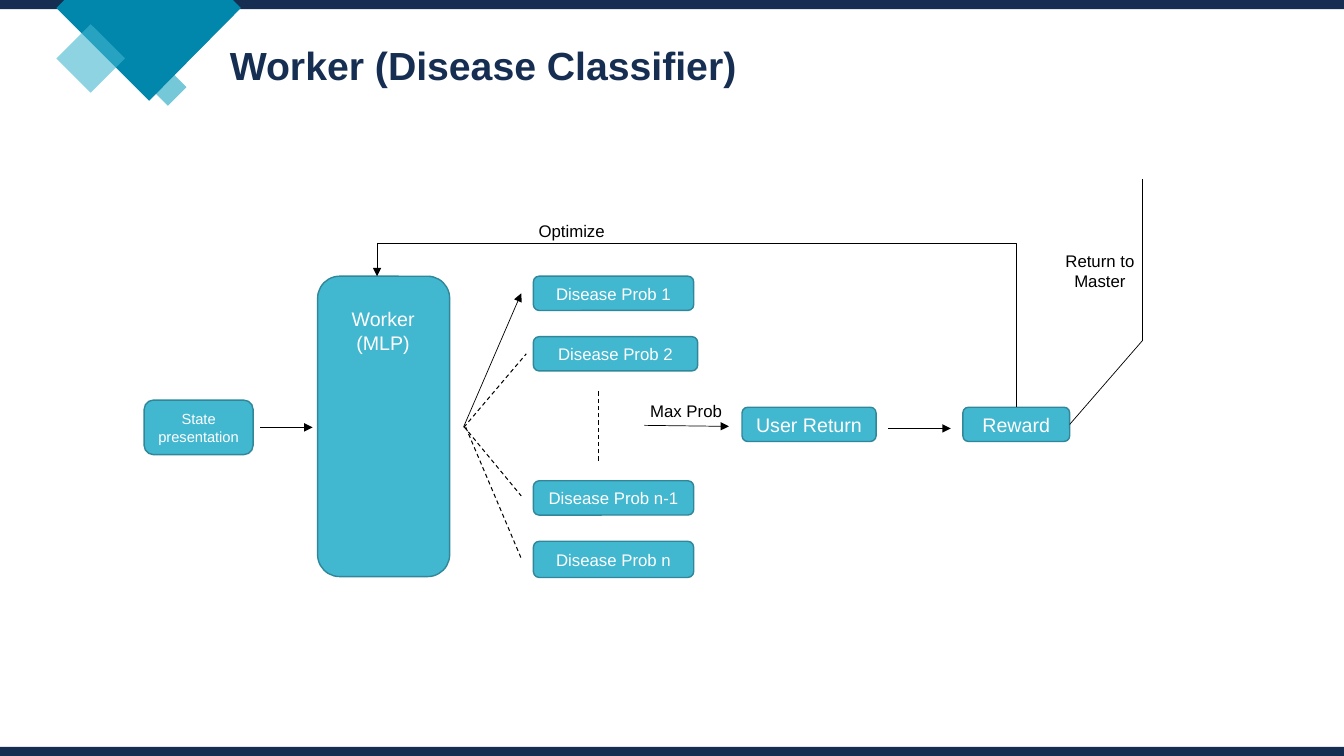
from typing import NamedTuple

from lxml import etree
from pptx import Presentation
from pptx import util as u
from pptx.dml.color import RGBColor
from pptx.enum import dml, shapes, text
from pptx.oxml.ns import qn

PX = 9144  # EMU per px, 100 px to the inch
WIDTH, HEIGHT, BAR = 1333, 750, 9
COLOURS = {
    "navy": "152E52", "blue": "0187AC", "teal": "1AA4BE", "aqua": "41B7D0",
    "edge": "30879A", "black": "000000", "white": "FFFFFF",
}
KIND = shapes.MSO_SHAPE


class Box(NamedTuple):
    left: int
    top: int
    width: int
    height: int


class Node(NamedTuple):
    words: str
    box: Box
    size: float


class Label(NamedTuple):
    words: str
    box: Box
    size: float = 12
    colour: str = "black"


class Link(NamedTuple):
    start: tuple[int, int]
    end: tuple[int, int]
    arrow: bool = False
    dashed: bool = False


NODES = [
    Node("State presentation", Box(143, 397, 108, 54), 10.5),
    Node("", Box(315, 274, 131, 298), 14),
    Node("Disease Prob 1", Box(529, 274, 159, 34), 12),
    Node("Disease Prob 2", Box(529, 334, 163, 34), 12),
    Node("Disease Prob n-1", Box(529, 477, 159, 34), 12),
    Node("Disease Prob n", Box(529, 537, 159, 36), 12),
    Node("User Return", Box(736, 404, 133, 34), 14),
]
REWARD = Node("Reward", Box(955, 404, 106, 34), 14)
LABELS = [
    Label("Worker\n(MLP)", Box(335, 300, 90, 57), 14, "white"),
    Label("Optimize", Box(522, 214, 90, 30)),
    Label("Return to\nMaster", Box(1033, 244, 116, 50)),
    Label("Max Prob", Box(623, 393, 115, 30)),
]
OPTIMIZE_CORNER = (374, 241)
MASTER_CORNER = (1133, 338)
LINKS = [
    Link((258, 424), (310, 424), arrow=True),
    Link((460, 423), (517, 291), arrow=True),
    Link((460, 424), (522, 351), dashed=True),
    Link((594, 457), (594, 388), dashed=True),
    Link((460, 423), (517, 492), dashed=True),
    Link((462, 424), (517, 554), dashed=True),
    Link((639, 422), (723, 423), arrow=True),
    Link(OPTIMIZE_CORNER, (374, 274), arrow=True),
    Link((881, 425), (943, 425), arrow=True),
    Link(MASTER_CORNER, (1133, 178)),
]


def rgb(name: str) -> RGBColor:
    return RGBColor.from_string(COLOURS[name])


def emu(lengths) -> list[int]:
    return [length * PX for length in lengths]


def paint(shape, fill: str, opacity: int = 100) -> None:
    shape.shadow.inherit = False
    shape.fill.solid()
    shape.fill.fore_color.rgb = rgb(fill)
    shape.line.fill.background()
    if opacity < 100:
        colour = shape.fill._xPr.find(".//" + qn("a:srgbClr"))
        etree.SubElement(colour, qn("a:alpha"), val=str(opacity * 1000))


def write(frame, words: str, size: float, colour: str) -> None:
    frame.text = words
    frame.word_wrap = True
    for paragraph in frame.paragraphs:
        paragraph.alignment = text.PP_ALIGN.CENTER
        for run in paragraph.runs:
            run.font.name = "Arial"
            run.font.size = u.Pt(size)
            run.font.color.rgb = rgb(colour)


def draw_shape(slide, kind, box: Box, fill: str, opacity: int = 100):
    shape = slide.shapes.add_shape(kind, *emu(box))
    paint(shape, fill, opacity)
    return shape


def draw_node(slide, node: Node):
    shape = draw_shape(slide, KIND.ROUNDED_RECTANGLE, node.box, "aqua")
    shape.line.color.rgb = rgb("edge")
    shape.line.width = u.Pt(1)
    if node.words:
        frame = shape.text_frame
        frame.margin_left = frame.margin_right = 6 * PX
        frame.vertical_anchor = text.MSO_ANCHOR.MIDDLE
        write(frame, node.words, node.size, "white")
    return shape


def draw_label(slide, label: Label) -> None:
    frame = slide.shapes.add_textbox(*emu(label.box)).text_frame
    write(frame, label.words, label.size, label.colour)


def draw_link(slide, link: Link, kind=shapes.MSO_CONNECTOR.STRAIGHT):
    connector = slide.shapes.add_connector(kind, *emu(link.start + link.end))
    connector.line.color.rgb = rgb("black")
    connector.line.width = u.Pt(0.75 if link.dashed else 0.5)
    if link.dashed:
        connector.line.dash_style = dml.MSO_LINE.DASH
    properties = connector._element.spPr
    if link.arrow:
        etree.SubElement(properties.find(qn("a:ln")), qn("a:tailEnd"), type="triangle")
    etree.SubElement(properties, qn("a:effectLst"))
    return connector


def draw_decoration(slide) -> None:
    draw_shape(slide, KIND.DIAMOND, Box(148, 68, 37, 37), "teal", 60)
    draw_shape(slide, KIND.RECTANGLE, Box(0, 0, WIDTH, BAR), "navy")
    builder = slide.shapes.build_freeform(64, 0, scale=PX)
    builder.add_line_segments([(231, 0), (239, 8), (148, 100), (56, 8)])
    paint(builder.convert_to_shape(), "blue")
    draw_shape(slide, KIND.DIAMOND, Box(56, 24, 68, 68), "aqua", 60)
    draw_shape(slide, KIND.RECTANGLE, Box(0, HEIGHT - BAR, WIDTH, BAR), "navy")


def draw_title(slide) -> None:
    title = slide.shapes.title
    title.left, title.top, title.width, title.height = emu(Box(218, 29, 918, 59))
    frame = title.text_frame
    write(frame, "Worker (Disease Classifier)", 28, "navy")
    frame.vertical_anchor = text.MSO_ANCHOR.TOP
    paragraph = frame.paragraphs[0]
    paragraph.alignment = text.PP_ALIGN.LEFT
    paragraph.line_spacing = 1.14
    paragraph.runs[0].font.bold = True


def draw_reward(slide) -> None:
    """Draw the reward with its ways back to the worker and to the master."""
    reward = draw_node(slide, REWARD)
    box = REWARD.box
    top_middle = (box.left + box.width // 2, box.top)
    optimize = draw_link(slide, Link(OPTIMIZE_CORNER, top_middle), shapes.MSO_CONNECTOR.ELBOW)
    optimize._element.spPr.find(qn("a:prstGeom")).set("prst", "bentConnector2")
    right_middle = (box.left + box.width, box.top + box.height // 2)
    draw_link(slide, Link(right_middle, MASTER_CORNER)).begin_connect(reward, 3)


def main() -> None:
    presentation = Presentation()
    presentation.slide_width, presentation.slide_height = emu((WIDTH, HEIGHT))
    slide = presentation.slides.add_slide(presentation.slide_layouts[5])
    draw_decoration(slide)
    draw_title(slide)
    for node in NODES:
        draw_node(slide, node)
    draw_reward(slide)
    for link in LINKS:
        draw_link(slide, link)
    for label in LABELS:
        draw_label(slide, label)
    presentation.save("out.pptx")


if __name__ == "__main__":
    main()
